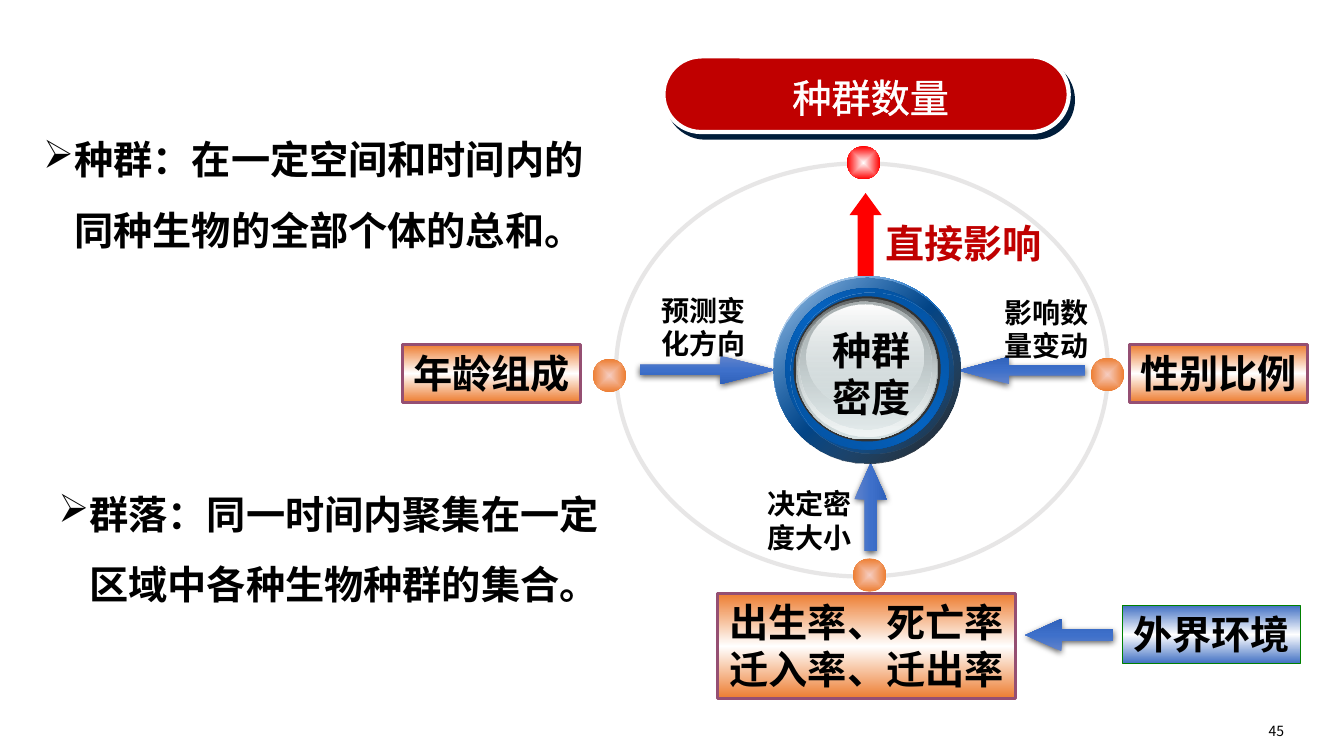
"""Build a slide on how population density relates to its driving factors."""
import pptx
import pptx.dml.color
import pptx.enum.shapes
import pptx.enum.text
import pptx.oxml
import pptx.oxml.ns
import pptx.util

Inches = pptx.util.Inches
Pt = pptx.util.Pt
RGBColor = pptx.dml.color.RGBColor
KIND = pptx.enum.shapes.MSO_SHAPE
FIT = pptx.enum.text.MSO_AUTO_SIZE
ANCHOR = pptx.enum.text.MSO_ANCHOR
ALIGN = pptx.enum.text.PP_ALIGN

FONT = "Noto Sans CJK SC"
BLACK = RGBColor(0x00, 0x00, 0x00)
WHITE = RGBColor(0xFF, 0xFF, 0xFF)
RED = RGBColor(0xFF, 0x00, 0x00)
CRIMSON = RGBColor(0xC0, 0x00, 0x00)
MAROON = RGBColor(0x66, 0x00, 0x33)
NAVY = RGBColor(0x00, 0x1D, 0x3A)
ORANGE = RGBColor(0xED, 0x7D, 0x31)
PEACH = RGBColor(0xF6, 0xCD, 0xC1)
PLUM = RGBColor(0x95, 0x4F, 0x72)
BLUE = RGBColor(0x44, 0x72, 0xC4)
GREEN = RGBColor(0x00, 0x80, 0x00)
SILVER = RGBColor(0xE7, 0xE6, 0xE6)
LIGHT = RGBColor(0x61, 0x83, 0xCB)
MEDIUM = RGBColor(0x3E, 0x70, 0xCA)
DEEP = RGBColor(0x30, 0x62, 0xBB)
AZURE = RGBColor(0x05, 0x63, 0xC1)
COBALT = RGBColor(0x04, 0x4C, 0x94)
OCEAN = RGBColor(0x04, 0x51, 0x9E)
COAL = RGBColor(0x33, 0x33, 0x33)
STEEL = RGBColor(0x63, 0x68, 0x69)
ASH = RGBColor(0xAA, 0xB2, 0xB3)
MIST = RGBColor(0xD6, 0xE1, 0xE2)
PEARL = RGBColor(0xF1, 0xF5, 0xF5)


def parse(text):
    """Turn drawing markup into an element."""
    return pptx.oxml.parse_xml(f"<a:p {pptx.oxml.ns.nsdecls('a')}>{text}</a:p>")[0]


def tint(color, alpha=100):
    """Return colour markup with the given opacity in percent."""
    return f'<a:srgbClr val="{color}"><a:alpha val="{alpha * 1000}"/></a:srgbClr>'


def blend(shape, stops, angle):
    """Fill a shape with evenly spaced stops, radial if angle is None."""
    last = len(stops) - 1
    marks = "".join(f'<a:gs pos="{100000 * i // last}">{tint(*stop)}</a:gs>'
                    for i, stop in enumerate(stops))
    if angle is None:
        way = ('<a:path path="shape"><a:fillToRect l="50000" t="50000" '
               'r="50000" b="50000"/></a:path>')
    else:
        way = f'<a:lin ang="{angle * 60000}" scaled="0"/>'
    shape.fill.background()
    blank = shape._element.spPr.find(pptx.oxml.ns.qn("a:noFill"))
    grad = parse(f"<a:gradFill><a:gsLst>{marks}</a:gsLst>{way}</a:gradFill>")
    blank.getparent().replace(blank, grad)


def draw(shapes, kind, spot, fill=None, angle=90, line=None, shade=None):
    """Add a preset shape with its fill, line and shadow."""
    shape = shapes.add_shape(kind, *map(Inches, spot))
    if isinstance(fill, list):
        blend(shape, fill, angle)
    elif fill is None:
        shape.fill.background()
    else:
        shape.fill.solid()
        shape.fill.fore_color.rgb = fill
    if line:
        shape.line.color.rgb, shape.line.width = line[0], Pt(line[1])
    else:
        shape.line.fill.background()
    shape.shadow.inherit = False
    if shade:
        color, alpha, blur, gap, turn = shade
        glow = parse(f'<a:outerShdw blurRad="{Pt(blur)}" dist="{Pt(gap)}" '
                     f'dir="{turn * 60000}" algn="ctr" rotWithShape="0">'
                     f"{tint(color, alpha)}</a:outerShdw>")
        shape._element.spPr.find(pptx.oxml.ns.qn("a:effectLst")).append(glow)
    return shape


def write(shape, text, size=28, color=BLACK, bold=True, wrap=True, grow=True,
          edge=None, bullet=None):
    """Put formatted text into a shape, one paragraph a line."""
    frame = shape.text_frame
    frame.word_wrap = wrap
    frame.auto_size = FIT.SHAPE_TO_FIT_TEXT if grow else FIT.NONE
    frame.vertical_anchor = ANCHOR.TOP
    frame.text = text
    for para in frame.paragraphs:
        para.alignment = ALIGN.LEFT if bullet else ALIGN.CENTER
        if bullet:
            para.line_spacing = 1.5
            props = para._p.get_or_add_pPr()
            props.set("marL", str(Inches(0.31)))
            props.set("indent", str(Inches(-0.31)))
            props.append(parse(f'<a:buChar char="{bullet}"/>'))
        font = para.runs[0].font
        font.size, font.bold, font.name = Pt(size), bold, FONT
        font.color.rgb = color
        props = para.runs[0]._r.get_or_add_rPr()
        props.append(parse(f'<a:ea typeface="{FONT}"/>'))
        if edge:
            props.insert(0, parse(f'<a:ln w="{Pt(edge[1])}"><a:solidFill>'
                                  f"{tint(edge[0])}</a:solidFill></a:ln>"))


def label(shapes, spot, text, **style):
    """Add a text box."""
    write(shapes.add_textbox(*map(Inches, spot)), text, **style)


def arrow(shapes, spot, turn, adjust, fill=None):
    """Add a block arrow, blue and shaded unless a fill is given."""
    shade = None if fill else (BLACK, 63, 4.5, 1.5, 90)
    fill = fill or [(LIGHT,), (MEDIUM,), (DEEP,)]
    shape = draw(shapes, KIND.RIGHT_ARROW, spot, fill, shade=shade)
    shape.rotation = turn
    shape.adjustments[0], shape.adjustments[1] = adjust


def factor(shapes, spot, text, color=ORANGE, line=(PLUM, 2)):
    """Add a framed factor with a banded fill."""
    shape = draw(shapes, KIND.RECTANGLE, spot, [(color,), (WHITE,), (color,)], line=line)
    write(shape, text, wrap=False)


def button(shapes):
    """Add the glossy round button for density."""
    rings = [
        ((7.67, 2.74, 1.86, 1.85), [(WHITE,), (AZURE,), (WHITE,)], 45),
        ((7.67, 2.75, 1.86, 1.85), [(AZURE, 32), (BLACK, 90)], 45),
        ((7.79, 2.86, 1.62, 1.6), [(COBALT,), (AZURE,), (COBALT,)], 315),
        ((7.84, 2.9, 1.62, 1.6), [(OCEAN,), (AZURE, 0)], 45),
        ((7.87, 2.94, 1.46, 1.44), COAL, 0),
    ]
    gloss = [
        ((7.89, 2.96, 1.41, 1.4), [(STEEL,), (MIST,)], 90),
        ((7.91, 2.97, 1.38, 1.36), [(MIST, 0), (PEARL,)], 90),
        ((7.93, 2.99, 1.31, 1.27), [(ASH,), (MIST, 48)], 90),
        ((8, 3.02, 1.16, 1.03), [(WHITE,), (MIST, 38)], 90),
    ]
    for ring in rings:
        draw(shapes, KIND.OVAL, *ring)
    group = shapes.add_group_shape()
    for layer in gloss:
        draw(group.shapes, KIND.OVAL, *layer)
    label(shapes, (7.99, 3.19, 1.31, 1.05), "种群密度")


def main():
    """Build and save the slide."""
    deck = pptx.Presentation()
    deck.slide_width, deck.slide_height = Inches(13.33), Inches(7.5)
    shapes = deck.slides.add_slide(deck.slide_layouts[6]).shapes

    label(shapes, (0.33, 1.06, 5.75, 1.43),
          "种群：在一定空间和时间内的同种生物的全部个体的总和。", bullet="➢")
    arrow(shapes, (10.17, 6.14, 0.87, 0.32), 180, (0.352, 1.11))
    arrow(shapes, (8.15, 2.19, 0.87, 0.32), 270, (0.5, 0.685), RED)
    arrow(shapes, (8.2, 4.87, 0.87, 0.32), 270, (0.352, 1.11))
    arrow(shapes, (9.5, 3.54, 1.26, 0.27), 180, (0.352, 1.873))
    arrow(shapes, (6.35, 3.53, 1.34, 0.28), 0, (0.352, 1.939))
    draw(shapes, KIND.OVAL, (6.11, 1.62, 4.88, 4.1), line=(SILVER, 3))

    factor(shapes, (11.13, 6.01, 1.77, 0.57), "外界环境", BLUE, (GREEN, 0.75))
    factor(shapes, (11.2, 3.42, 1.77, 0.57), "性别比例")
    factor(shapes, (7.12, 5.89, 2.95, 1.04), "出生率、死亡率\n迁入率、迁出率")
    factor(shapes, (3.99, 3.42, 1.77, 0.57), "年龄组成")
    label(shapes, (7.5, 4.78, 1.05, 0.77), "决定密度大小", size=20)

    for left, top, core, rim in [(5.88, 3.56, PEACH, ORANGE), (8.4, 1.45, WHITE, RED),
                                 (8.46, 5.54, PEACH, ORANGE), (10.82, 3.55, PEACH, ORANGE)]:
        draw(shapes, KIND.OVAL, (left, top, 0.33, 0.33), [(core,), (rim,)], None)
    button(shapes)

    banner = draw(shapes, KIND.ROUNDED_RECTANGLE, (6.58, 0.56, 4.02, 0.75), CRIMSON,
                  line=(WHITE, 3), shade=(NAVY, 100, 0, 5, 53))
    banner.adjustments[0] = 0.5
    label(shapes, (6.34, 2.86, 1.27, 0.77), "预测变化方向", size=20)
    label(shapes, (9.78, 2.88, 1.2, 0.77), "影响数量变动", size=20)
    label(shapes, (8.79, 2.13, 1.53, 0.45), "直接影响", color=CRIMSON, wrap=False,
          grow=False, edge=(MAROON, 0.75))
    label(shapes, (7.62, 0.68, 2.03, 0.51), "种群数量", color=WHITE, bold=False,
          wrap=False, grow=False, edge=(WHITE, 1.45))
    label(shapes, (0.48, 4.58, 5.6, 1.43),
          "群落：同一时间内聚集在一定区域中各种生物种群的集合。", bullet="➢")
    label(shapes, (12.05, 7.12, 1.22, 0.29), "45", size=10, bold=False, grow=False)
    deck.save("out.pptx")


if __name__ == "__main__":
    main()
